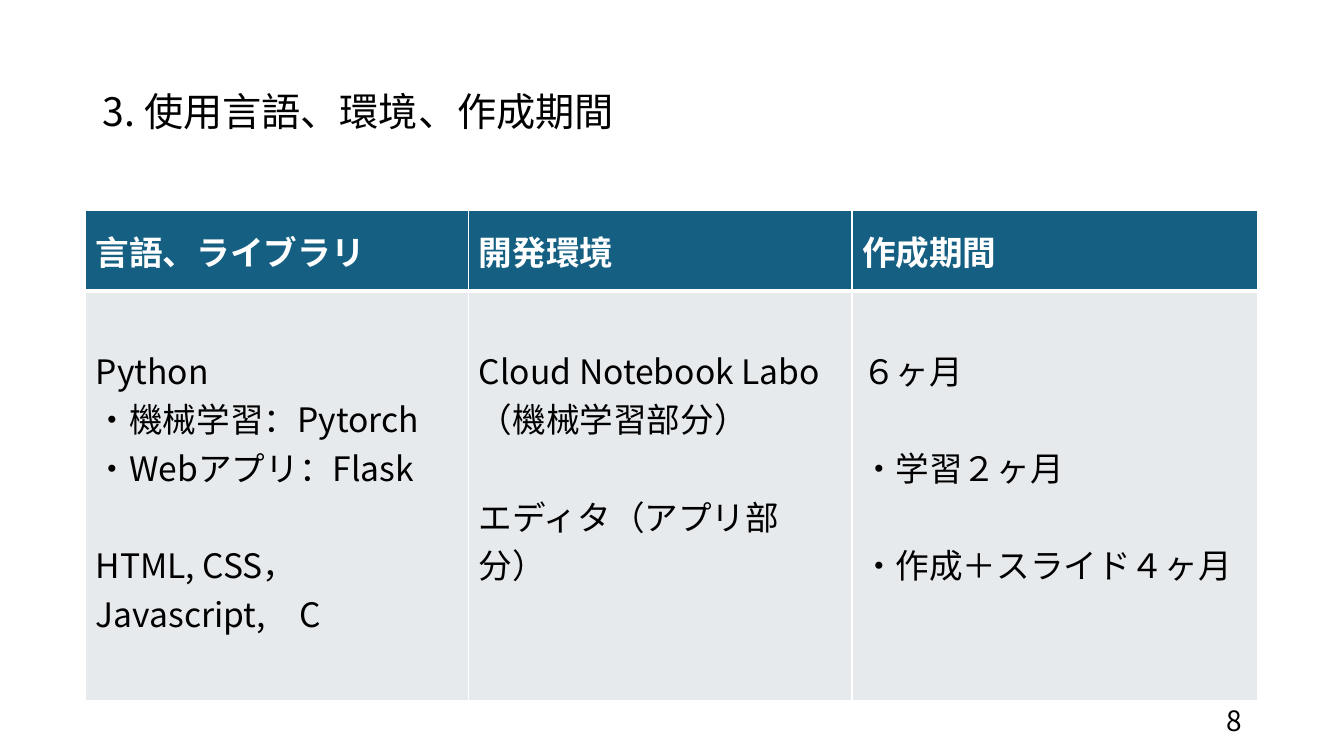
import pptx
import pptx.util
import pptx.dml.color
import pptx.enum.text
import pptx.oxml.ns
import lxml.etree

TITLE = "3. 使用言語、環境、作成期間"
PAGE_NUMBER = "8"
COLUMNS = [
    ("言語、ライブラリ", 3.8, [
        ["Python", "・機械学習：Pytorch", "・Webアプリ：Flask"],
        ["HTML, CSS，Javascript,　C"],
    ]),
    ("開発環境", 3.8, [
        ["Cloud Notebook Labo", "（機械学習部分）"],
        ["エディタ（アプリ部分）"],
    ]),
    ("作成期間", 4.02, [
        ["６ヶ月"],
        ["・学習２ヶ月"],
        ["・作成＋スライド４ヶ月"],
    ]),
]
ROW_HEIGHTS = (0.8, 4.06)
FONT = "Noto Sans CJK JP"
BLACK, WHITE, HEADER, BODY = "000000", "FFFFFF", "156082", "E7EAED"
LINE_PITCH = 34.8
WIDTH, HEIGHT = 13.33, 7.5
TABLE_LEFT, TABLE_TOP = 0.85, 2.09
MIDDLE = pptx.enum.text.MSO_ANCHOR.MIDDLE
TOP = pptx.enum.text.MSO_ANCHOR.TOP
RIGHT = pptx.enum.text.PP_ALIGN.RIGHT


def color(value):
    return pptx.dml.color.RGBColor.from_string(value)


def inches(*values):
    return [pptx.util.Inches(value) for value in values]


def add_element(parent, tag, **attributes):
    return lxml.etree.SubElement(parent, pptx.oxml.ns.qn(tag), **attributes)


def style(para, size, ink, bold=False):
    for span in para.runs:
        span.font.size = pptx.util.Pt(size)
        span.font.bold = bold
        span.font.color.rgb = color(ink)
        span.font.name = FONT
        add_element(span.font._element, "a:ea", typeface=FONT)


def add_label(page, bounds, text, size):
    frame = page.shapes.add_textbox(*inches(*bounds)).text_frame
    frame.word_wrap = True
    frame.vertical_anchor = MIDDLE
    frame.text = text
    para = frame.paragraphs[0]
    style(para, size, BLACK)
    return para


def format_cell(cell, fill, top, bottom):
    properties = cell._tc.get_or_add_tcPr()
    for side, points in zip("LRTB", (1, 1, top, bottom)):
        line = add_element(properties, f"a:ln{side}", w=str(pptx.util.Pt(points)))
        add_element(add_element(line, "a:solidFill"), "a:srgbClr", val=WHITE)
    cell.fill.solid()
    cell.fill.fore_color.rgb = color(fill)


def fill_header(cell, heading):
    format_cell(cell, HEADER, 1, 3)
    cell.vertical_anchor = MIDDLE
    cell.text_frame.text = heading
    style(cell.text_frame.paragraphs[0], 24, WHITE, bold=True)


def fill_body(cell, groups):
    format_cell(cell, BODY, 3, 1)
    cell.vertical_anchor = TOP
    cell.margin_top = pptx.util.Pt(3.6 + LINE_PITCH)
    cell.text_frame.text = "\n".join(line for group in groups for line in group)
    paras = iter(cell.text_frame.paragraphs)
    for group_index, group in enumerate(groups):
        for line_index, para in enumerate(para for _, para in zip(group, paras)):
            if group_index and not line_index:
                para.space_before = pptx.util.Pt(LINE_PITCH)
            style(para, 24, BLACK)


def add_grid(page):
    widths = [width for _, width, _ in COLUMNS]
    bounds = inches(TABLE_LEFT, TABLE_TOP, sum(widths), sum(ROW_HEIGHTS))
    table = page.shapes.add_table(len(ROW_HEIGHTS), len(COLUMNS), *bounds).table
    table.horz_banding = False
    for row, height in zip(table.rows, ROW_HEIGHTS):
        row.height = pptx.util.Inches(height)
    for index, (heading, width, groups) in enumerate(COLUMNS):
        table.columns[index].width = pptx.util.Inches(width)
        fill_header(table.cell(0, index), heading)
        fill_body(table.cell(1, index), groups)


def main():
    deck = pptx.Presentation()
    deck.slide_width, deck.slide_height = inches(WIDTH, HEIGHT)
    page = deck.slides.add_slide(deck.slide_layouts[6])
    title = add_label(page, (0.92, 0.4, 11.5, 1.45), TITLE, 28)
    title.line_spacing = 0.9
    add_grid(page)
    table_bottom = TABLE_TOP + sum(ROW_HEIGHTS)
    number = add_label(page, (9.42, table_bottom, 3, 0.4), PAGE_NUMBER, 20)
    number.alignment = RIGHT
    deck.save("out.pptx")


if __name__ == "__main__":
    main()
